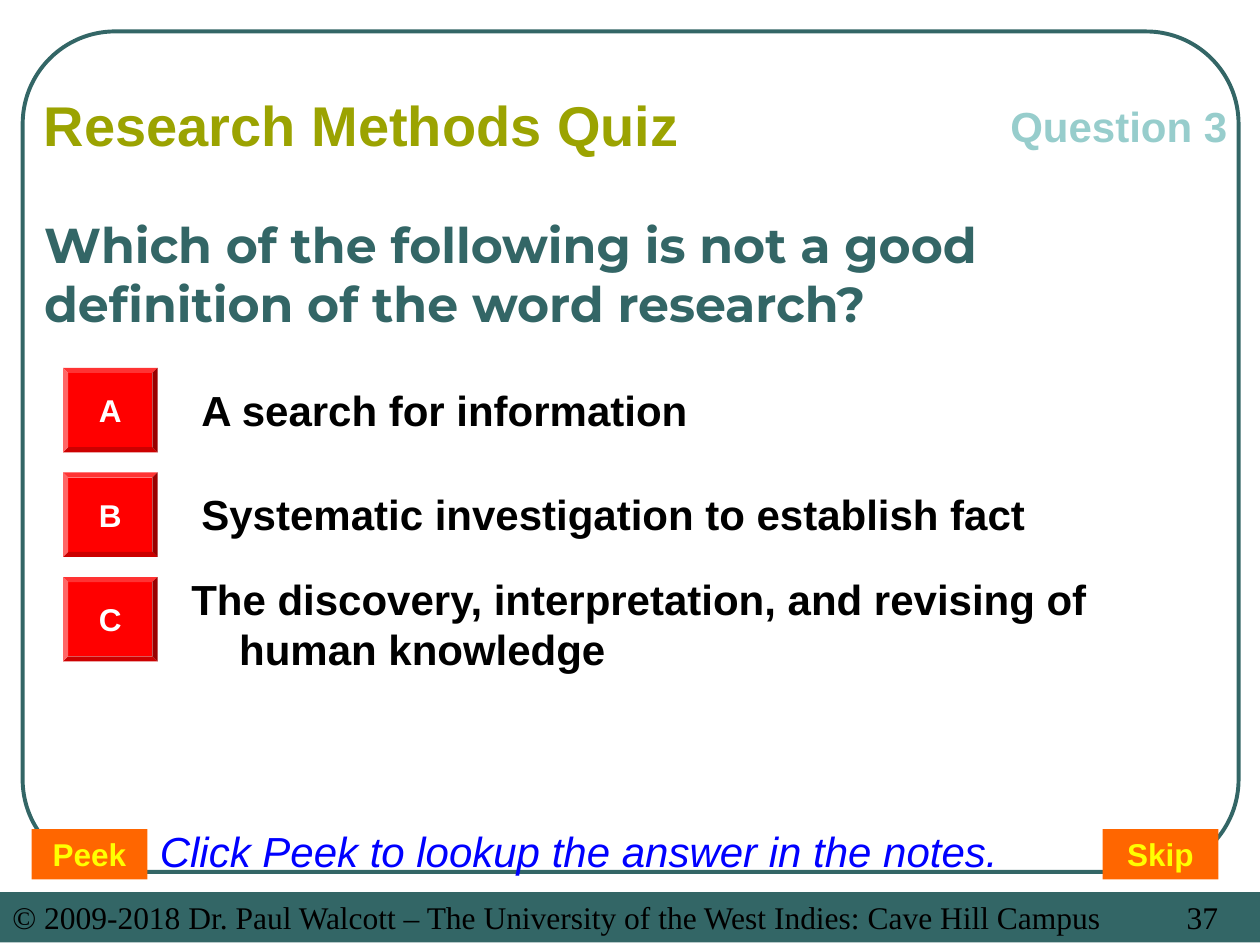
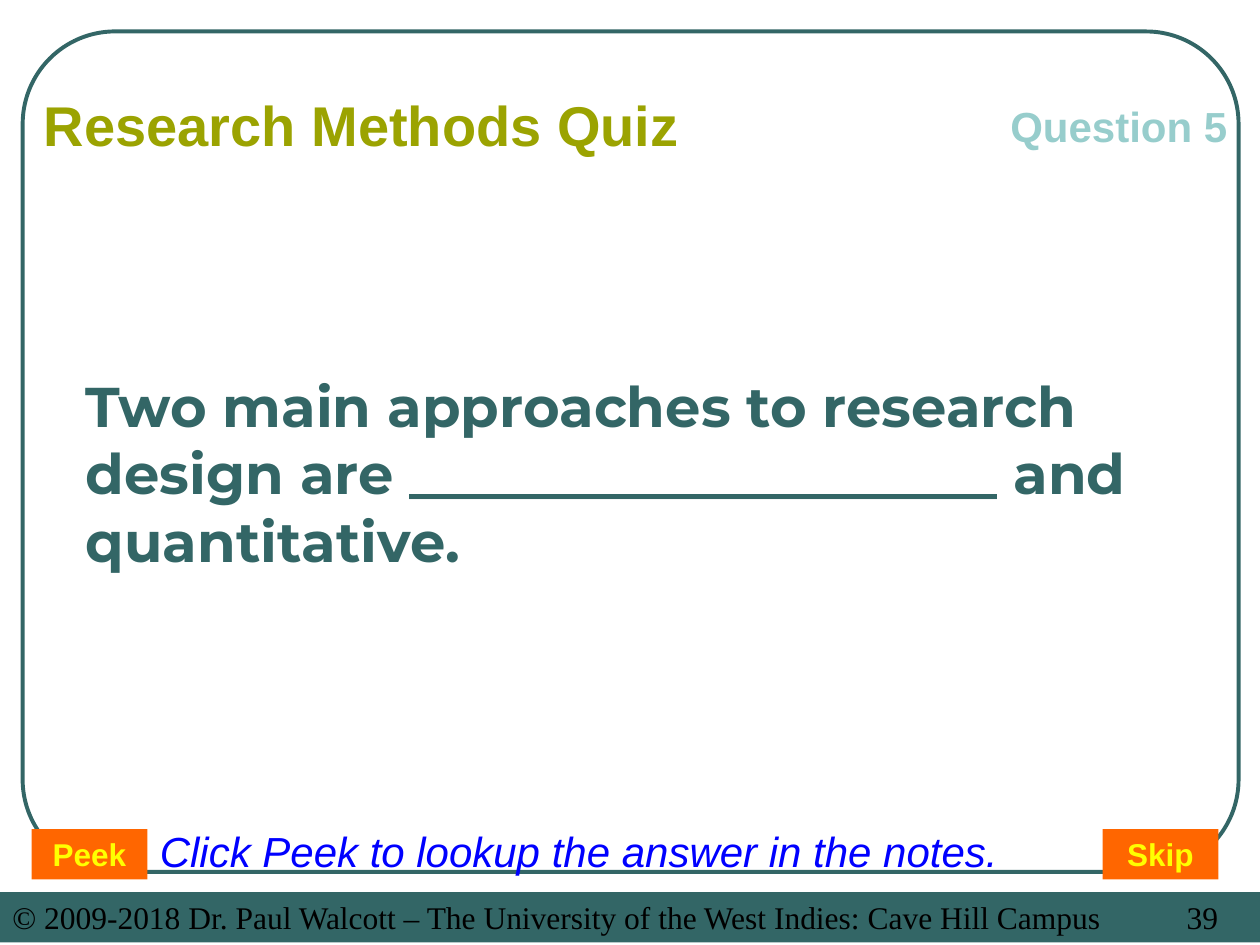
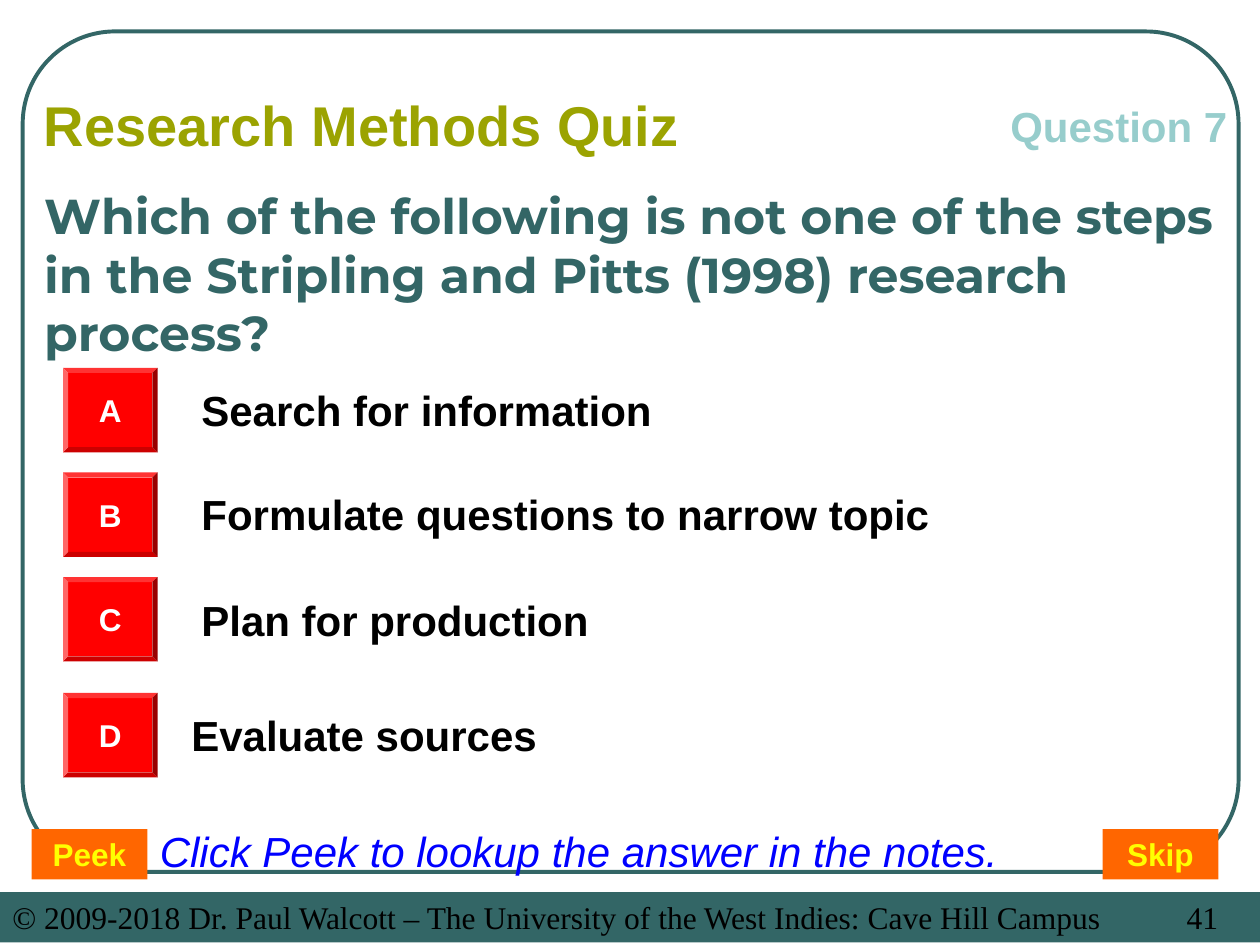
import pptx
import pptx.util
import pptx.dml.color
import pptx.enum.shapes
import pptx.enum.text
import lxml.etree

Inches = pptx.util.Inches
Kind = pptx.enum.shapes.MSO_SHAPE
Align = pptx.enum.text.PP_ALIGN
Anchor = pptx.enum.text.MSO_ANCHOR

# Shared look
TEAL, OLIVE, AQUA = "336666", "9BA301", "97CDCC"
RED, ORANGE, YELLOW = "FF0000", "FF6600", "FFFF00"
BLACK, WHITE, BLUE = "000000", "FFFFFF", "0000FF"
CREDIT = "© 2009-2018 Dr. Paul Walcott – The University of the West Indies: Cave Hill Campus"
ROWS = [2.92, 3.75, 4.58, 5.5]

# Page, question number, question, its place and size,
# then each answer with its left, top and height
QUIZ = [
    (37, 3, "Which of the following is not a good definition of the word research?",
     (0.25, 1.42, 9.5, 1.5), 28,
     [("A search for information", 1.5, 3, 0.5),
      ("Systematic investigation to establish fact", 1.5, 3.83, 0.5),
      ("The discovery, interpretation, and revising of human knowledge", 1.42, 4.5, 0.9)]),
    (39, 5, "Two main approaches to research design are _____________________ and quantitative.",
     (0.58, 2.25, 8.92, 3), 32, []),
    (41, 7, "Which of the following is not one of the steps in the Stripling and Pitts (1998) "
     "research process?",
     (0.25, 1.42, 9.5, 1.5), 28,
     [("Search for information", 1.5, 3, 0.5),
      ("Formulate questions to narrow topic", 1.5, 3.83, 0.5),
      ("Plan for production", 1.5, 4.67, 0.5),
      ("Evaluate sources", 1.42, 5.58, 0.5)]),
]


def paint(target, color):
    """Give a fill or a font a solid colour."""
    if hasattr(target, "solid"):
        target.solid()
        target.fore_color.rgb = pptx.dml.color.RGBColor.from_string(color)
    else:
        target.color.rgb = pptx.dml.color.RGBColor.from_string(color)


def write(text, at, shape=None, kind=None, fill=None, size=24, color=BLACK, face="Arial",
          bold=True, slant=False, align=Align.LEFT, anchor=Anchor.TOP, wrap=True,
          hang=0, tab=None):
    """Put text in a given shape, a new preset shape or a new text box."""
    box = [Inches(n) for n in at]
    if shape is not None:
        shape.left, shape.top, shape.width, shape.height = box
    elif kind is not None:
        shape = slide.shapes.add_shape(kind, *box)
        shape.shadow.inherit = False
        paint(shape.fill, fill)
        shape.line.fill.background()
    else:
        shape = slide.shapes.add_textbox(*box)
    frame = shape.text_frame
    frame.auto_size = pptx.enum.text.MSO_AUTO_SIZE.NONE
    frame.word_wrap = wrap
    frame.vertical_anchor = anchor
    frame.text = text
    para = frame.paragraphs[0]
    para.alignment = align
    props = para._p.get_or_add_pPr()
    if hang:
        props.set("marL", str(Inches(hang)))
        props.set("indent", str(-Inches(hang)))
    if tab:
        stops = lxml.etree.SubElement(props, pptx.oxml.ns.qn("a:tabLst"))
        lxml.etree.SubElement(stops, pptx.oxml.ns.qn("a:tab"), pos=str(Inches(tab)), algn="l")
    font = para.runs[0].font
    font.name, font.size = face, pptx.util.Pt(size)
    font.bold, font.italic = bold, slant
    paint(font, color)
    return shape


deck = pptx.Presentation()
deck.slide_width, deck.slide_height = Inches(10), Inches(7.5)

for page, number, question, place, size, answers in QUIZ:
    slide = deck.slides.add_slide(deck.slide_layouts[5])

    # Rounded frame
    edge = slide.shapes.add_shape(Kind.ROUNDED_RECTANGLE, Inches(0.18), Inches(0.25),
                                  Inches(9.65), Inches(6.67))
    edge.adjustments[0] = 0.11
    edge.shadow.inherit = False
    edge.fill.background()
    paint(edge.line.fill, TEAL)
    edge.line.width = pptx.util.Pt(2.25)

    # Footer band with page number
    write(f"{CREDIT}\t{page}", (0, 7.08, 10, 0.4), kind=Kind.RECTANGLE, fill=TEAL,
          size=18, face="Times New Roman", bold=False, tab=9.32)

    # Headings and question
    write("Research Methods Quiz", (0.25, 0.67, 6.5, 0.64), size=32, color=OLIVE)
    write(f"Question {number}", (7.92, 0.75, 2.08, 0.5), color=AQUA)
    write(question, place, shape=slide.shapes.title, size=size, color=TEAL,
          face="Montserrat", anchor=Anchor.MIDDLE)

    # Answer buttons and texts
    for letter, row, (answer, left, top, height) in zip("ABCD", ROWS, answers):
        button = write(letter, (0.5, row, 0.75, 0.67), kind=Kind.BEVEL, fill=RED, size=18,
                       color=WHITE, align=Align.CENTER, anchor=Anchor.MIDDLE, wrap=False)
        button.adjustments[0] = 0.06
        write(answer, (left, top, 8.25, height), hang=0.38)

    # Peek and Skip buttons with the hint
    for label, left in (("Peek", 0.25), ("Skip", 8.75)):
        write(label, (left, 6.58, 0.92, 0.4), kind=Kind.RECTANGLE, fill=ORANGE,
              size=18, color=YELLOW, align=Align.CENTER)
    write("Click Peek to lookup the answer in the notes.", (1.17, 6.5, 7.17, 0.5),
          color=BLUE, bold=False, slant=True)

deck.save("out.pptx")
